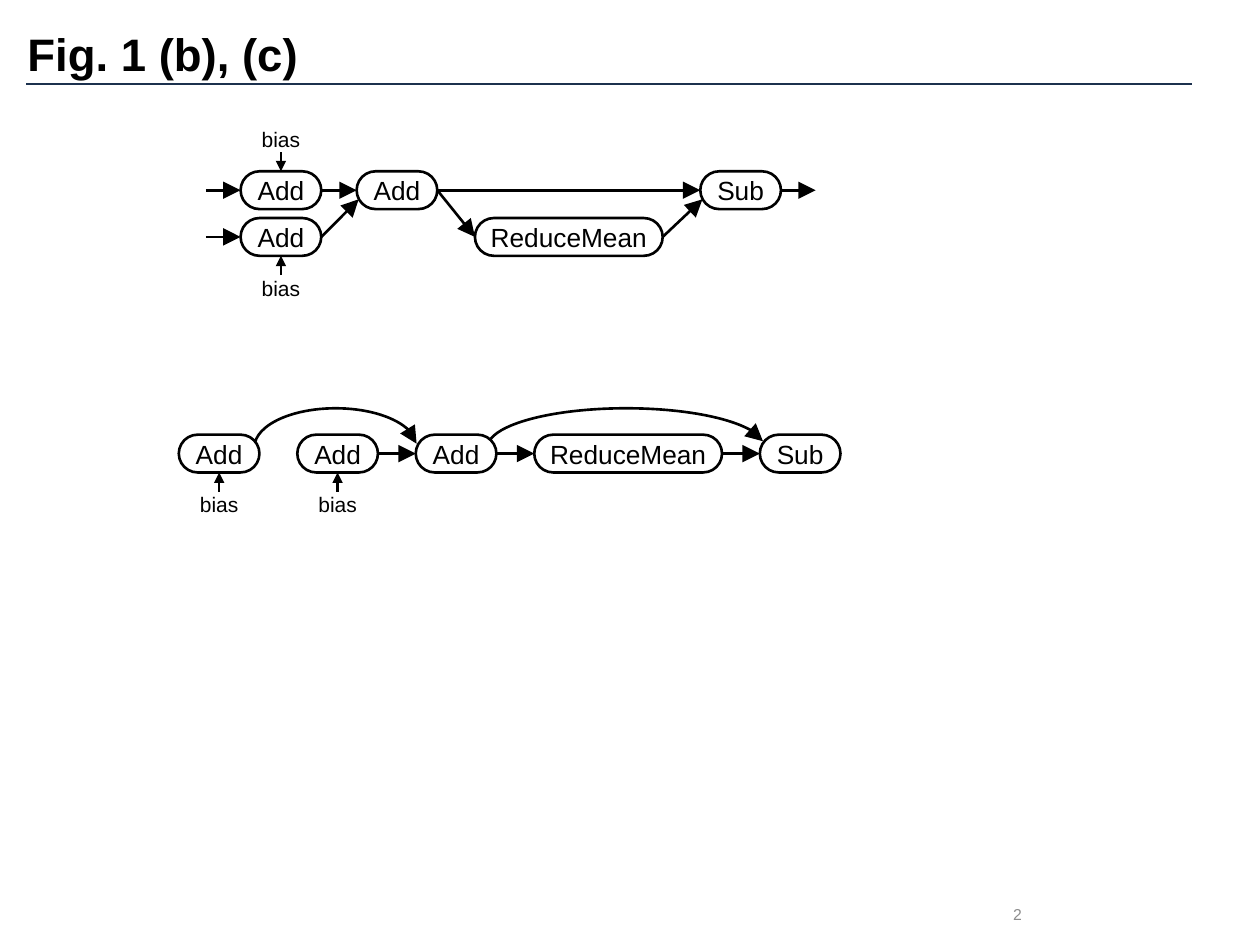
from pptx import Presentation
from pptx.dml.color import RGBColor
from pptx.enum import shapes as kinds, text as txt
from pptx.oxml.ns import qn
from pptx.util import Pt
from lxml import etree

THEME = {
    "font": "Arial",
    "ink": RGBColor(0, 0, 0),
    "rule": RGBColor(0x1C, 0x31, 0x4E),
    "muted": RGBColor(0x8C, 0x8C, 0x8C),
    "title": 26, "node": 15, "bias": 12, "number": 9,
    "line": 1.5, "rule_line": 1,
}

TITLE, NUMBER, BIAS = "Fig. 1 (b), (c)", "2", "bias"
WIDTHS = {"Add": 46.1, "Sub": 46.1, "ReduceMean": 107.3}
NODE_H = 21.6
BIAS_W, BIAS_H, BIAS_GAP = 43.2, 14.4, 11
STUB = 19.8
CORNER = (1.2, 16)  # where a slanted arrow meets the rounded end of a node
TOP, LEFT, BOTTOM, RIGHT = range(4)  # connection sites of a rounded rectangle

# Parallel graph: key, label, left, top
UPPER, LOWER = 97.9, 124.6
PARALLEL = [
    ("add_top", "Add", 137.5, UPPER),
    ("add_low", "Add", 137.5, LOWER),
    ("add_join", "Add", 203.8, UPPER),
    ("mean", "ReduceMean", 271.4, LOWER),
    ("sub", "Sub", 400.2, UPPER),
]
PARALLEL_LINKS = [("add_top", "add_join"), ("add_join", "mean"), ("add_join", "sub")]
CORNER_LINKS = [("add_low", "add_join"), ("mean", "sub")]
INPUTS, OUTPUT = ["add_top", "add_low"], "sub"
PARALLEL_BIAS = [("add_top", TOP), ("add_low", BOTTOM)]

# Sequential graph: one row with equal gaps
SEQUENCE = ["Add", "Add", "Add", "ReduceMean", "Sub"]
SEQ_LEFT, SEQ_TOP, SEQ_GAP = 102.2, 248.4, 21.6
SEQ_LINKS = [(1, 2), (2, 3), (3, 4)]
SEQ_BIAS = [0, 1]
ARCS = [(145.4, 92.9), (278.6, 158.4)]  # left, width
ARC_TOP, ARC_H, ARC_ANGLES = 233.3, 44.6, (110.158, 214.484)


def write(shape, words, size, color="ink", align=txt.PP_ALIGN.CENTER,
          anchor=txt.MSO_ANCHOR.MIDDLE, inset=0, bold=False, wrap=True):
    frame = shape.text_frame
    layout = {"word_wrap": wrap, "vertical_anchor": anchor}
    layout.update({f"margin_{side}": Pt(inset)
                   for side in ("left", "top", "right", "bottom")})
    for name, value in layout.items():
        setattr(frame, name, value)
    paragraph = frame.paragraphs[0]
    paragraph.alignment = align
    run = paragraph.add_run()
    run.text = words
    for name, value in {"name": THEME["font"], "size": Pt(THEME[size]), "bold": bold}.items():
        setattr(run.font, name, value)
    run.font.color.rgb = THEME[color]


def textbox(shapes, box, words, size, **formats):
    write(shapes.add_textbox(*map(Pt, box)), words, size, **formats)


def stroke(shape, color="ink", width="line", head=None):
    shape.line.color.rgb = THEME[color]
    shape.line.width = Pt(THEME[width])
    if head:
        etree.SubElement(shape.line._get_or_add_ln(), qn("a:tailEnd"),
                         type="triangle", w=head, len=head)


def connector(shapes, start, end, head="lg", **formats):
    link = shapes.add_connector(kinds.MSO_CONNECTOR.STRAIGHT, *map(Pt, (*start, *end)))
    stroke(link, head=head, **formats)
    etree.SubElement(link._element.spPr, qn("a:effectLst"))
    return link


def node(shapes, label, left, top):
    box = shapes.add_shape(kinds.MSO_SHAPE.ROUNDED_RECTANGLE,
                           *map(Pt, (left, top, WIDTHS[label], NODE_H)))
    box.adjustments[0] = 0.5
    box.shadow.inherit = False
    box.fill.background()
    stroke(box)
    write(box, label, "node", wrap=False)
    return box


def site(box, side):
    """Return the point, in points, of one connection site of a node."""
    x, y, w, h = (length.pt for length in (box.left, box.top, box.width, box.height))
    return [(x + w / 2, y), (x, y + h / 2), (x + w / 2, y + h), (x + w, y + h / 2)][side]


def join(shapes, source, target):
    link = connector(shapes, site(source, RIGHT), site(target, LEFT))
    link.begin_connect(source, RIGHT)
    link.end_connect(target, LEFT)


def join_corner(shapes, source, target):
    end = (target.left.pt + CORNER[0], target.top.pt + CORNER[1])
    connector(shapes, site(source, RIGHT), end).begin_connect(source, RIGHT)


def add_bias(shapes, box, side):
    x, y = site(box, side)
    outer = y - BIAS_GAP if side == TOP else y + BIAS_GAP
    connector(shapes, (x, outer), (x, y), head="med").end_connect(box, side)
    text_top = outer - BIAS_H if side == TOP else outer
    textbox(shapes, (x - BIAS_W / 2, text_top, BIAS_W, BIAS_H), BIAS, "bias",
            anchor=txt.MSO_ANCHOR.TOP)


def draw_parallel(shapes):
    nodes = {key: node(shapes, *place) for key, *place in PARALLEL}
    for source, target in PARALLEL_LINKS:
        join(shapes, nodes[source], nodes[target])
    for source, target in CORNER_LINKS:
        join_corner(shapes, nodes[source], nodes[target])
    for key in INPUTS:
        x, y = site(nodes[key], LEFT)
        connector(shapes, (x - STUB, y), (x, y)).end_connect(nodes[key], LEFT)
    x, y = site(nodes[OUTPUT], RIGHT)
    connector(shapes, (x, y), (x + STUB, y)).begin_connect(nodes[OUTPUT], RIGHT)
    for key, side in PARALLEL_BIAS:
        add_bias(shapes, nodes[key], side)


def draw_sequence(shapes):
    nodes, left = [], SEQ_LEFT
    for label in SEQUENCE:
        nodes.append(node(shapes, label, left, SEQ_TOP))
        left += WIDTHS[label] + SEQ_GAP
    for source, target in SEQ_LINKS:
        join(shapes, nodes[source], nodes[target])
    for arc_left, width in ARCS:
        arc = shapes.add_shape(kinds.MSO_SHAPE.ARC,
                               *map(Pt, (arc_left, ARC_TOP, width, ARC_H)))
        for index, angle in enumerate(ARC_ANGLES):
            arc.adjustments[index] = angle
        arc.shadow.inherit = False
        arc.fill.background()
        stroke(arc, head="lg")
    for index in SEQ_BIAS:
        add_bias(shapes, nodes[index], BOTTOM)


def main():
    deck = Presentation()
    deck.slide_width, deck.slide_height = Pt(720), Pt(540)
    shapes = deck.slides.add_slide(deck.slide_layouts[6]).shapes
    connector(shapes, (15.1, 48.2), (681.1, 48.2), head=None,
              color="rule", width="rule_line")
    textbox(shapes, (8.6, 7.6, 661.7, 50), TITLE, "title", bold=True, inset=7.2,
            align=txt.PP_ALIGN.LEFT, anchor=txt.MSO_ANCHOR.TOP)
    textbox(shapes, (563.8, 508.3, 35.3, 28.8), NUMBER, "number", color="muted")
    for draw in (draw_parallel, draw_sequence):
        draw(shapes.add_group_shape().shapes)
    deck.save("out.pptx")


if __name__ == "__main__":
    main()
